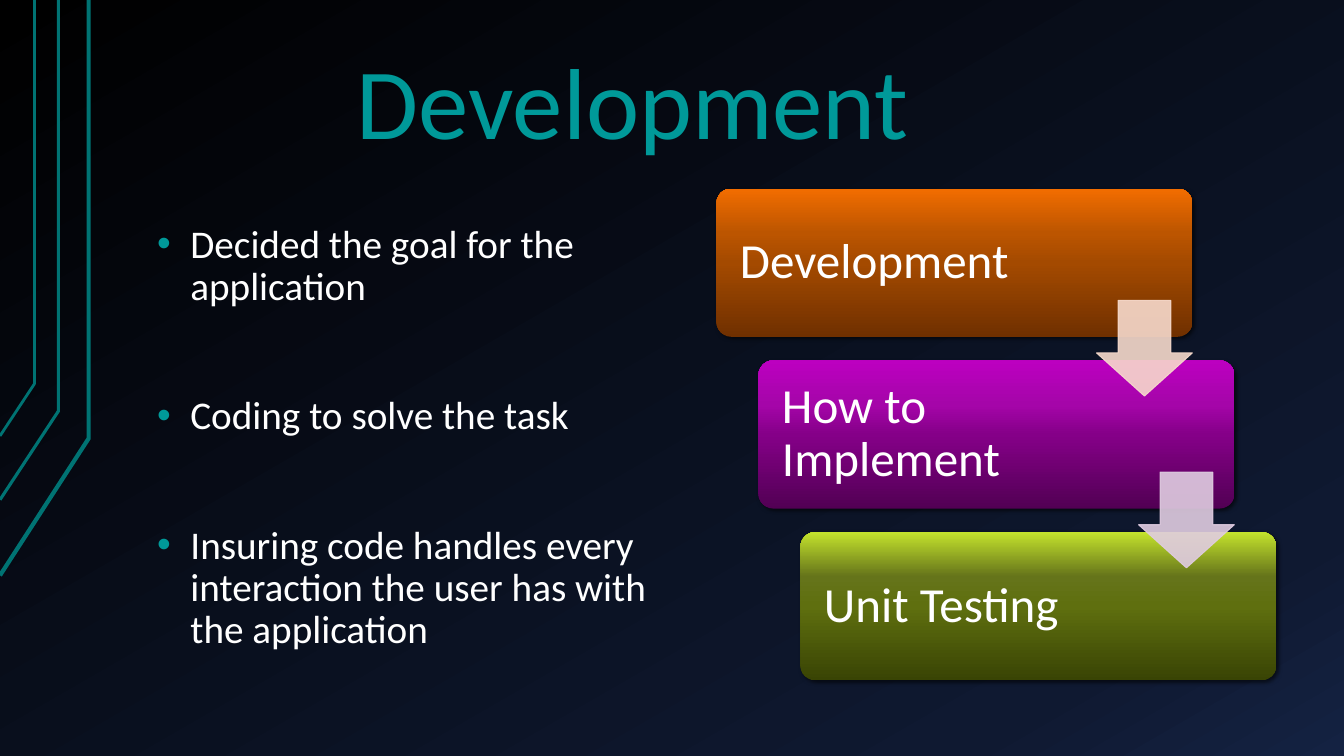
from lxml.etree import SubElement
from pptx import Presentation
from pptx.dml.color import RGBColor
from pptx.enum.shapes import MSO_SHAPE
from pptx.enum.text import MSO_ANCHOR, MSO_AUTO_SIZE, PP_ALIGN
from pptx.oxml.ns import qn
from pptx.util import Inches, Pt

COLS, ROWS = 32, 18
TEAL = RGBColor(0x00, 0x99, 0x99)
DEEP = RGBColor(0x00, 0x73, 0x73)
WHITE = RGBColor(0xFF, 0xFF, 0xFF)
BLACK = RGBColor(0x00, 0x00, 0x00)
PEACH = RGBColor(0xF7, 0xDA, 0xCC)
LILAC = RGBColor(0xE0, 0xCC, 0xE1)
NIGHT = [(0, BLACK), (85, RGBColor(0x0F, 0x19, 0x31)),
         (100, RGBColor(0x14, 0x22, 0x42))]
ORANGE = [(0, RGBColor(0x70, 0x30, 0x00)), (50, RGBColor(0xA4, 0x4A, 0x00)),
          (70, RGBColor(0xBC, 0x55, 0x00)), (100, RGBColor(0xF2, 0x6D, 0x00))]
PURPLE = [(0, RGBColor(0x52, 0x00, 0x54)), (50, RGBColor(0x85, 0x00, 0x88)),
          (70, RGBColor(0xA5, 0x05, 0xA9)), (100, RGBColor(0xBC, 0x00, 0xC0))]
GREEN = [(0, RGBColor(0x39, 0x44, 0x04)), (50, RGBColor(0x5F, 0x6F, 0x0F)),
         (70, RGBColor(0x65, 0x74, 0x1A)), (100, RGBColor(0xC4, 0xE3, 0x2D))]

RAILS = [(3, [(0, 13.7), (2.11, 10.44), (2.11, 0)]),
         (2.25, [(0, 11.9), (1.39, 9.79), (1.39, 0)]),
         (2, [(0, 10.38), (0.82, 9.14), (0.82, 0)])]
POINTS = ["Decided the goal for the application",
          "Coding to solve the task",
          "Insuring code handles every interaction the user has with "
          "the application"]
STEPS = [("Development", ORANGE), ("How to Implement", PURPLE),
         ("Unit Testing", GREEN)]
STEP_X, STEP_Y = 1, 4.09


class Deck:
    """Draws on one slide; lengths are grid columns and rows."""
    font = "Calibri"

    def __init__(self):
        self.prs = Presentation()
        self.prs.slide_width = Inches(13.33)
        self.prs.slide_height = Inches(7.5)
        self.slide = self.prs.slides.add_slide(self.prs.slide_layouts[5])
        self.shapes = self.slide.shapes

    def spot(self, x, y):
        return (round(x * self.prs.slide_width / COLS),
                round(y * self.prs.slide_height / ROWS))

    def box(self, x, y, w, h):
        return self.spot(x, y) + self.spot(w, h)

    def blend(self, fill, root, stops, angle):
        """Gradient fill; the angle runs counter-clockwise."""
        fill.gradient()
        fill.gradient_angle = angle
        group = root.find(".//" + qn("a:gsLst"))
        for old in list(group):
            group.remove(old)
        for place, color in stops:
            stop = SubElement(group, qn("a:gs"), pos=str(place * 1000))
            SubElement(stop, qn("a:srgbClr"), val=str(color))

    def backdrop(self, stops, angle):
        self.blend(self.slide.background.fill, self.slide._element,
                   stops, angle)

    def frame(self, shape, anchor, left, top, right):
        frame = shape.text_frame
        frame.word_wrap = True
        frame.auto_size = MSO_AUTO_SIZE.NONE
        frame.vertical_anchor = anchor
        frame.margin_left, frame.margin_right = Inches(left), Inches(right)
        frame.margin_top = frame.margin_bottom = Inches(top)
        return frame

    def label(self, para, text, size, color):
        para.alignment = PP_ALIGN.LEFT
        para.line_spacing = 0.9
        run = para.add_run()
        run.text = text
        run.font.name = self.font
        run.font.size = Pt(size)
        run.font.color.rgb = color

    def title(self, text, *place):
        shape = self.shapes.title
        shape.left, shape.top, shape.width, shape.height = self.box(*place)
        frame = self.frame(shape, MSO_ANCHOR.BOTTOM, 0.13, 0.07, 0.13)
        self.label(frame.paragraphs[0], text, 72, TEAL)

    def bullets(self, items, *place):
        shape = self.shapes.add_textbox(*self.box(*place))
        frame = self.frame(shape, MSO_ANCHOR.TOP, 0.13, 0.07, 0.13)
        for i, text in enumerate(items):
            para = frame.add_paragraph() if i else frame.paragraphs[0]
            props = para._p.get_or_add_pPr()
            props.set("marL", str(Inches(0.33)))
            props.set("indent", str(Inches(-0.33)))
            tint = SubElement(props, qn("a:buClr"))
            SubElement(tint, qn("a:srgbClr"), val=str(TEAL))
            SubElement(props, qn("a:buFont"), typeface="Arial")
            SubElement(props, qn("a:buChar"), char="•")
            if i:
                para.space_before = Pt(62)
            self.label(para, text, 28, WHITE)

    def rail(self, width, points):
        start, *rest = [self.spot(*point) for point in points]
        pen = self.shapes.build_freeform(*start)
        pen.add_line_segments(rest, close=False)
        shape = pen.convert_to_shape()
        shape.shadow.inherit = False
        shape.fill.background()
        shape.line.color.rgb = DEEP
        shape.line.width = Pt(width)

    def shade(self, shape):
        """Soft shadow towards the lower right."""
        shape.shadow.inherit = False
        effects = shape._element.spPr.find(qn("a:effectLst"))
        cast = SubElement(effects, qn("a:outerShdw"), blurRad=str(Pt(3)),
                          dist=str(Pt(2)), dir=str(45 * 60000),
                          rotWithShape="0")
        color = SubElement(cast, qn("a:srgbClr"), val=str(BLACK))
        SubElement(color, qn("a:alpha"), val="60000")

    def step(self, text, stops, *place):
        shape = self.shapes.add_shape(MSO_SHAPE.ROUNDED_RECTANGLE,
                                      *self.box(*place))
        shape.adjustments[0] = 0.1
        self.blend(shape.fill, shape._element, stops, 90)
        shape.line.fill.background()
        self.shade(shape)
        frame = self.frame(shape, MSO_ANCHOR.MIDDLE, 0.19, 0.19, 1.56)
        self.label(frame.paragraphs[0], text, 35, WHITE)

    def arrow(self, color, *place):
        shape = self.shapes.add_shape(MSO_SHAPE.DOWN_ARROW, *self.box(*place))
        shape.adjustments[0], shape.adjustments[1] = 0.55, 0.45
        shape.shadow.inherit = False
        shape.fill.solid()
        shape.fill.fore_color.rgb = color
        shape.line.color.rgb = color
        shape.line.width = Pt(0.75)
        for tint in shape._element.spPr.iter(qn("a:srgbClr")):
            SubElement(tint, qn("a:alpha"), val="90000")


def main():
    deck = Deck()
    deck.backdrop(NIGHT, 300)
    for width, points in RAILS:
        deck.rail(width, points)
    deck.title("Development", 8.18, 0.79, 13.87, 3.22)
    deck.bullets(POINTS, 3.43, 5.18, 13.32, 11.11)
    for i, (text, stops) in enumerate(STEPS):
        deck.step(text, stops, 17.06 + i * STEP_X, 4.49 + i * STEP_Y,
                  11.33, 3.53)
    for i, color in enumerate([PEACH, LILAC]):
        deck.arrow(color, 26.11 + i * STEP_X, 7.15 + i * STEP_Y, 2.28, 2.28)
    deck.prs.save("out.pptx")


if __name__ == "__main__":
    main()
